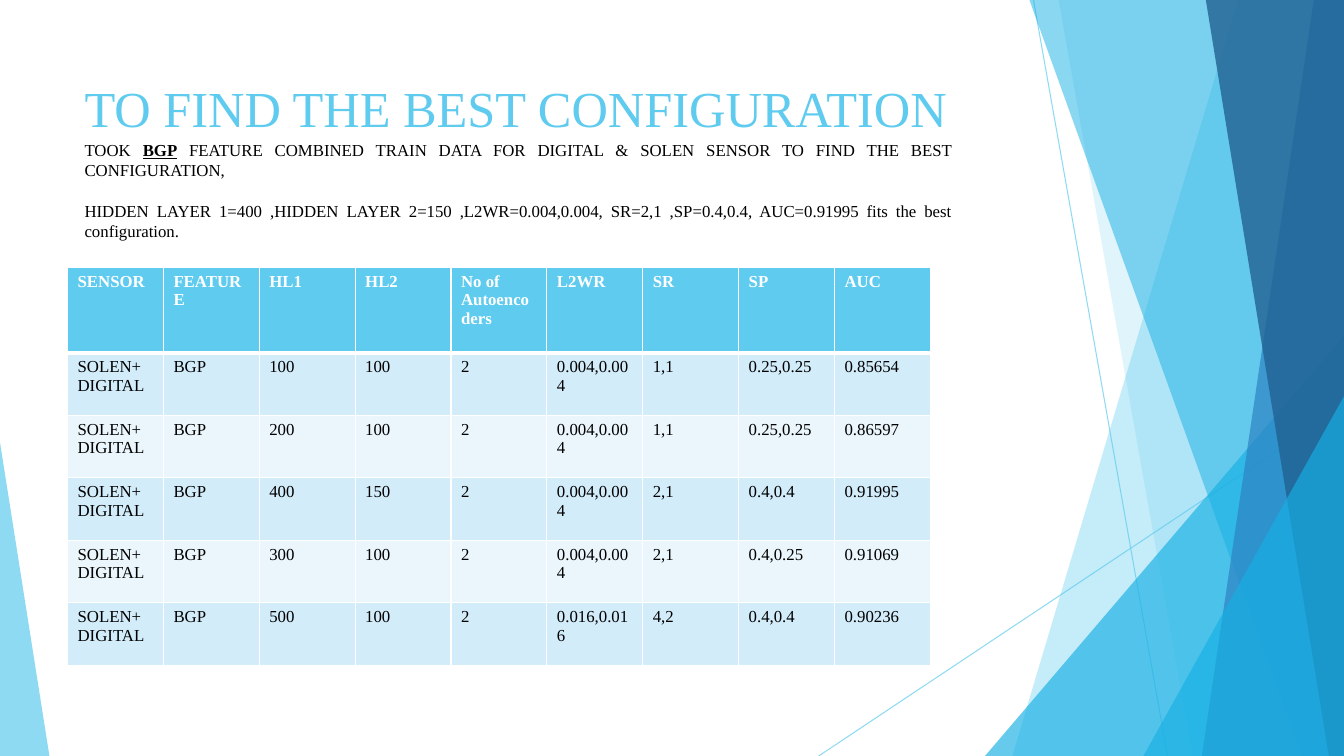
import pptx
import pptx.util
import pptx.dml.color
import pptx.enum.shapes
import pptx.enum.text
import pptx.oxml
import lxml.etree

Inches, Pt = pptx.util.Inches, pptx.util.Pt
KIND = pptx.enum.shapes.MSO_SHAPE.ISOSCELES_TRIANGLE
STRAIGHT = pptx.enum.shapes.MSO_CONNECTOR.STRAIGHT
JUSTIFY = pptx.enum.text.PP_ALIGN.JUSTIFY
NS = "http://schemas.openxmlformats.org/drawingml/2006/main"
FONT = "Times New Roman"
WIDE, HIGH = 13.33, 7.5
SKY, AQUA, WHITE, BLACK = "5FCBEF", "17B0E4", "FFFFFF", "000000"

# Content
TITLE = "TO FIND THE BEST CONFIGURATION"
NOTES = [
    [("TOOK ", False), ("BGP", True),
     (" FEATURE COMBINED TRAIN DATA FOR DIGITAL & SOLEN SENSOR"
      " TO FIND THE BEST CONFIGURATION,", False)],
    [("HIDDEN LAYER 1=400 ,HIDDEN LAYER 2=150 ,L2WR=0.004,0.004, SR=2,1 ,"
      "SP=0.4,0.4, AUC=0.91995 fits the best configuration.", False)],
]
HEAD = ["SENSOR", "FEATURE", "HL1", "HL2", "No of Autoencoders",
        "L2WR", "SR", "SP", "AUC"]
SENSOR, FEATURE, CODERS = "SOLEN+DIGITAL", "BGP", "2"
RUNS = [  # HL1, HL2, L2WR, SR, SP, AUC
    ("100", "100", "0.004,0.004", "1,1", "0.25,0.25", "0.85654"),
    ("200", "100", "0.004,0.004", "1,1", "0.25,0.25", "0.86597"),
    ("400", "150", "0.004,0.004", "2,1", "0.4,0.4", "0.91995"),
    ("300", "100", "0.004,0.004", "2,1", "0.4,0.25", "0.91069"),
    ("500", "100", "0.016,0.016", "4,2", "0.4,0.4", "0.90236"),
]

# Backdrop: lines as (start, end)
RAYS = [((10.25, 0), (11.58, HIGH)), ((WIDE, 4.03), (8.12, HIGH))]
# Bands reach the right edge: (top x, bottom x, colour, opacity)
# Wedges stand on the bottom edge: (left, top, width, apex, colour, opacity)
BACK = [
    ("band", 12.28, 10.04, SKY, 36),
    ("band", 10.5, 11.83, SKY, 20),
    ("wedge", 9.77, 3.33, 3.56, 1, AQUA, 66),
    ("band", 10.21, 12.91, AQUA, 50),
    ("band", 13.03, 11.92, "2E83C3", 70),
    ("band", 11.96, 13.18, "226292", 80),
    ("wedge", 11.34, 3.93, 1.99, 1, AQUA, 66),
    ("wedge", 0, 4.39, 0.49, 0, SKY, 70),
]

deck = pptx.Presentation()
deck.slide_width, deck.slide_height = Inches(WIDE), Inches(HIGH)
slide = deck.slides.add_slide(deck.slide_layouts[6])
shapes = slide.shapes


def tint(code):
    return pptx.dml.color.RGBColor.from_string(code)


def fade(shape, part):
    for color in shape.element.xpath(".//p:spPr//a:srgbClr"):
        lxml.etree.SubElement(color, f"{{{NS}}}alpha", val=str(part * 1000))


def style(font, size, code, bold=False):
    font.name, font.size, font.bold = FONT, Pt(size), bold
    font.color.rgb = tint(code)


def add_ray(start, end):
    ray = shapes.add_connector(STRAIGHT, *map(Inches, start + end))
    ray.line.color.rgb = tint(SKY)
    ray.line.width = Pt(0.75)
    lxml.etree.SubElement(ray.element.spPr, f"{{{NS}}}effectLst")
    fade(ray, 70)


def add_band(top, base):
    pen = shapes.build_freeform(Inches(top), 0)
    pen.add_line_segments([(Inches(x), Inches(y)) for x, y in
                           ((WIDE, 0), (WIDE, HIGH), (base, HIGH))])
    return pen.convert_to_shape()


def add_wedge(left, top, width, apex):
    wedge = shapes.add_shape(KIND, *map(Inches, (left, top, width, HIGH - top)))
    wedge.adjustments[0] = apex
    return wedge


def add_box(left, top, width, height):
    frame = shapes.add_textbox(*map(Inches, (left, top, width, height))).text_frame
    frame.word_wrap = True
    return frame


def add_edges(cell, tops, bases):
    props = cell._tc.get_or_add_tcPr()
    for side, width in (("L", 1), ("R", 1), ("T", tops), ("B", bases)):
        props.append(pptx.oxml.parse_xml(
            f'<a:ln{side} xmlns:a="{NS}" w="{Pt(width)}"><a:solidFill>'
            f'<a:srgbClr val="{WHITE}"/></a:solidFill></a:ln{side}>'))


# Backdrop
for start, end in RAYS:
    add_ray(start, end)
for kind, *place, code, part in BACK:
    shape = (add_band if kind == "band" else add_wedge)(*place)
    shape.shadow.inherit = False
    shape.fill.solid()
    shape.fill.fore_color.rgb = tint(code)
    shape.line.fill.background()
    fade(shape, part)

# Title
frame = add_box(0.74, 0.67, 9.4, 0.93)
frame.margin_top = Inches(0.1)
para = frame.paragraphs[0]
para.text, para.alignment = TITLE, JUSTIFY
style(para.font, 36, SKY)

# Table
rows = [HEAD] + [(SENSOR, FEATURE, one, two, CODERS, *rest)
                 for one, two, *rest in RUNS]
table = shapes.add_table(len(rows), len(HEAD), Inches(0.67), Inches(2.65),
                         Inches(8.56), Inches(3.96)).table
for col in table.columns:
    col.width = Inches(8.56 / len(HEAD))
for r, row in enumerate(rows):
    table.rows[r].height = Inches(0.62 if r else 0.85)
    shade = SKY if r == 0 else ("EAF6FC", "D2ECF9")[r % 2]
    for c, value in enumerate(row):
        cell = table.cell(r, c)
        add_edges(cell, 3 if r == 1 else 1, 1 if r else 3)
        cell.fill.solid()
        cell.fill.fore_color.rgb = tint(shade)
        cell.text = value
        style(cell.text_frame.paragraphs[0].font, 12,
              BLACK if r else WHITE, r == 0)

# Notes above the table
frame = add_box(0.74, 1.34, 8.81, 1.11)
for n, parts in enumerate(NOTES):
    para = frame.add_paragraph() if n else frame.paragraphs[0]
    para.alignment = JUSTIFY
    para.space_before = Pt(14.5 if n else 0)
    style(para.font, 12, BLACK)
    for text, strong in parts:
        run = para.add_run()
        run.text = text
        if strong:
            run.font.bold = run.font.underline = True

deck.save("out.pptx")
